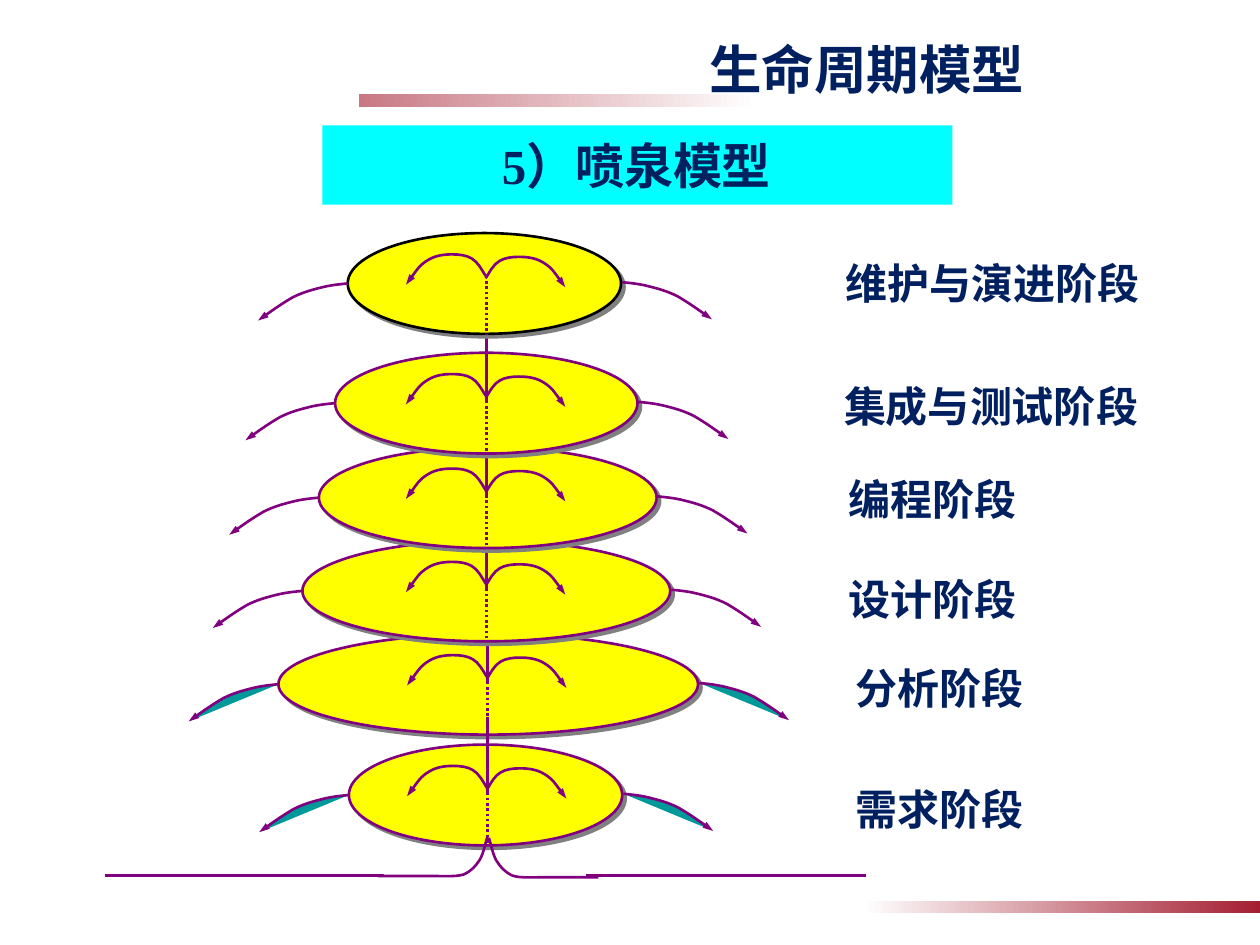
from lxml.etree import SubElement
from pptx import Presentation
from pptx.dml.color import RGBColor
from pptx.enum.dml import MSO_LINE_DASH_STYLE as Dash
from pptx.enum.shapes import MSO_CONNECTOR as Connector, MSO_SHAPE as Shape
from pptx.enum.text import MSO_ANCHOR as Anchor, MSO_AUTO_SIZE as AutoSize, PP_ALIGN as Align
from pptx.oxml.ns import qn
from pptx.util import Pt

NAVY = RGBColor(0x00, 0x20, 0x60)
PURPLE = RGBColor(0x80, 0x00, 0x80)
YELLOW = RGBColor(0xFF, 0xFF, 0x00)
TEAL = RGBColor(0x00, 0x99, 0x99)
CYAN = RGBColor(0x00, 0xFF, 0xFF)
RED = RGBColor(0xA4, 0x1E, 0x31)
PALE_RED = RGBColor(0xC8, 0x78, 0x83)
WHITE = RGBColor(0xFF, 0xFF, 0xFF)
BLACK = RGBColor(0x00, 0x00, 0x00)
CJK_FONT, LATIN_FONT = "Noto Sans CJK SC", "Times New Roman"

TITLE = "生命周期模型"
HEADING = "5）喷泉模型"
BARS = [  # left, top, width, height, start colour, end colour
    (205.2, 54, 226.8, 7.2, PALE_RED, WHITE),
    (493.2, 514.8, 226.8, 7.2, WHITE, RED),
]
# Back to front: ellipse left, top, width, outline, filled curves, stem x, has a stem
TIERS = [
    (159.1, 362.2, 239.8, PURPLE, True, 278.6, True),
    (172.8, 308.9, 210.2, PURPLE, False, 278, True),
    (182.2, 255.6, 193, PURPLE, False, 278, True),
    (191.5, 201.6, 172.8, PURPLE, False, 278, True),
    (198.7, 133.2, 156.2, BLACK, False, 278, False),
    (199.4, 425.5, 156.2, PURPLE, True, 278.6, True),
]
LABELS = [  # text, left, top, width
    ("需求阶段", 481.7, 444.2, 119.5),
    ("分析阶段", 482, 375.1, 113.8),
    ("设计阶段", 477.7, 324, 116.6),
    ("编程阶段", 477.7, 267.1, 123.8),
    ("集成与测试阶段", 475.2, 213.8, 193.7),
    ("维护与演进阶段", 475.9, 143.7, 186.5),
]
TIER_HEIGHT, LABEL_HEIGHT = 57.6, 47.5

# Bezier points of the left-hand curves, relative to their start
INNER_JET = [(0, 0), (-2.5, -4), (-4.5, -8), (-8, -10), (-11, -11.8), (-15, -12.3),
             (-19, -12.3), (-23.5, -12.3), (-28.5, -11.8), (-33, -9), (-38, -6),
             (-43.5, 2.5), (-45.5, 5)]
OUTER_SPRAY = [(0, 0), (-5, 0.5), (-10, 1), (-15, 2.3), (-20.5, 3.7), (-25.5, 5),
               (-31.5, 8), (-37.5, 11.5), (-48, 18.8), (-51.2, 21.2)]
ROOT = [(0, 0), (-1.4, 4.3), (-2.2, 9.4), (-4.3, 13), (-6.5, 16.6), (-9, 19.5),
        (-13.5, 21.6), (-18, 23), (-24, 22.5), (-32.3, 22.5), (-40.3, 22.5),
        (-57.5, 22.5), (-62.6, 22.5)]


def format_text(frame, text, align, size, latin=LATIN_FONT):
    paragraph = frame.paragraphs[0]
    paragraph.alignment = align
    run = paragraph.add_run()
    run.text = text
    settings = {"size": Pt(size), "bold": True, "name": latin}
    for name, value in settings.items():
        setattr(run.font, name, value)
    run.font.color.rgb = NAVY
    SubElement(run.font._element, qn("a:ea"), typeface=CJK_FONT)


def set_margins(frame, margins):
    for side, margin in zip(("left", "top", "right", "bottom"), margins):
        setattr(frame, f"margin_{side}", Pt(margin))


def style_fill(fill, color):
    if color is None:
        fill.background()
    else:
        fill.solid()
        fill.fore_color.rgb = color


def style_line(line, color):
    if color is None:
        line.fill.background()
    else:
        line.color.rgb = color
        line.width = Pt(1.5)


def add_preset(slide, kind, box, fill, outline=None):
    shape = slide.shapes.add_shape(kind, *map(Pt, box))
    shape.shadow.inherit = False
    style_fill(shape.fill, fill)
    style_line(shape.line, outline)
    return shape


def add_text_block(slide, text, box, fill, align, size, margins):
    frame = add_preset(slide, Shape.RECTANGLE, box, fill).text_frame
    frame.word_wrap = True
    frame.vertical_anchor = Anchor.TOP
    set_margins(frame, margins)
    format_text(frame, text, align, size)


def add_bar(slide, left, top, width, height, *colors):
    bar = add_preset(slide, Shape.RECTANGLE, (left, top, width, height), None)
    bar.fill.gradient()
    bar.fill.gradient_angle = 0
    for stop, color in zip(bar.fill.gradient_stops, colors):
        stop.color.rgb = color


def add_ellipse(slide, box, outline):
    ellipse = add_preset(slide, Shape.OVAL, box, YELLOW, outline)
    effects = ellipse._element.spPr.find(qn("a:effectLst"))
    shadow = SubElement(effects, qn("a:outerShdw"), dist=str(Pt(2.8)), dir="2700000",
                        algn="ctr", rotWithShape="0")
    SubElement(shadow, qn("a:srgbClr"), val="808080")


def add_line(slide, start, end, dash=None):
    line = slide.shapes.add_connector(Connector.STRAIGHT, *map(Pt, (*start, *end)))
    style_line(line.line, PURPLE)
    line.line.dash_style = dash
    SubElement(line._element.spPr, qn("a:effectLst"))


def bend_segments(shape):
    """Turn each three straight segments into one cubic Bezier curve."""
    outline = next(shape._element.iter(qn("a:path")))
    segments = outline.findall(qn("a:lnTo"))
    for first in range(0, len(segments), 3):
        curve = SubElement(outline, qn("a:cubicBezTo"))
        for segment in segments[first:first + 3]:
            curve.append(segment[0])
            outline.remove(segment)


def add_curve(slide, offsets, start, side, fill=None, arrow=True):
    """Draw a curve from start; side is 1 for left and -1 for its mirror."""
    places = [(Pt(start[0] + side * x), Pt(start[1] + y)) for x, y in offsets]
    builder = slide.shapes.build_freeform(*places[0])
    builder.add_line_segments(places[1:], close=False)
    curve = builder.convert_to_shape()
    bend_segments(curve)
    curve.shadow.inherit = False
    style_fill(curve.fill, fill)
    style_line(curve.line, PURPLE)
    if arrow:
        line = curve._element.spPr.find(qn("a:ln"))
        SubElement(line, qn("a:tailEnd"), type="triangle", w="sm", len="med")


def add_tier(slide, left, top, width, outline, filled, stem, has_stem):
    add_ellipse(slide, (left, top, width, TIER_HEIGHT), outline)
    jet_fill, spray_fill = (YELLOW, TEAL) if filled else (None, None)
    add_curve(slide, INNER_JET, (stem - 0.5, top + 24.5), 1, jet_fill)
    add_curve(slide, INNER_JET, (stem - 0.5, top + 25.9), -1, jet_fill)
    if has_stem:
        add_line(slide, (stem, top - 15.8), (stem, top + 28))
    add_line(slide, (stem, top + 27.4), (stem, top + TIER_HEIGHT), Dash.ROUND_DOT)
    add_curve(slide, OUTER_SPRAY, (left, top + 28.8), 1, spray_fill)
    add_curve(slide, OUTER_SPRAY, (left + width + 0.7, top + 28.1), -1, spray_fill)


def main():
    presentation = Presentation()
    presentation.slide_width, presentation.slide_height = Pt(720), Pt(540)
    slide = presentation.slides.add_slide(presentation.slide_layouts[5])

    title = slide.shapes.title
    placement = {"left": 270.7, "top": 15.1, "width": 449.3, "height": 45.4}
    for name, value in placement.items():
        setattr(title, name, Pt(value))
    title.text_frame.auto_size = AutoSize.NONE
    title.text_frame.vertical_anchor = Anchor.BOTTOM
    set_margins(title.text_frame, (5.8, 2.9, 5.8, 3.6))
    format_text(title.text_frame, TITLE, Align.CENTER, 30, CJK_FONT)

    for bar in BARS:
        add_bar(slide, *bar)
    for tier in TIERS:
        add_tier(slide, *tier)
    add_line(slide, (278.6, 421.2), (278.6, 439.2))
    add_curve(slide, ROOT, (278.6, 478.1), 1, arrow=False)
    add_curve(slide, ROOT, (279.4, 478.8), -1, arrow=False)
    for start, end in ((219.6, 59.8), (494.6, 334.8)):
        add_line(slide, (start, 500.4), (end, 500.4))
    for text, left, top, width in LABELS:
        add_text_block(slide, text, (left, top, width, LABEL_HEIGHT), WHITE,
                       Align.JUSTIFY, 24, (7.2, 3.6, 7.2, 3.6))
    add_text_block(slide, HEADING, (184.3, 71.6, 360, 45.4), CYAN,
                   Align.CENTER, 28, (5.8, 5.8, 7.2, 5.8))
    presentation.save("out.pptx")


if __name__ == "__main__":
    main()
